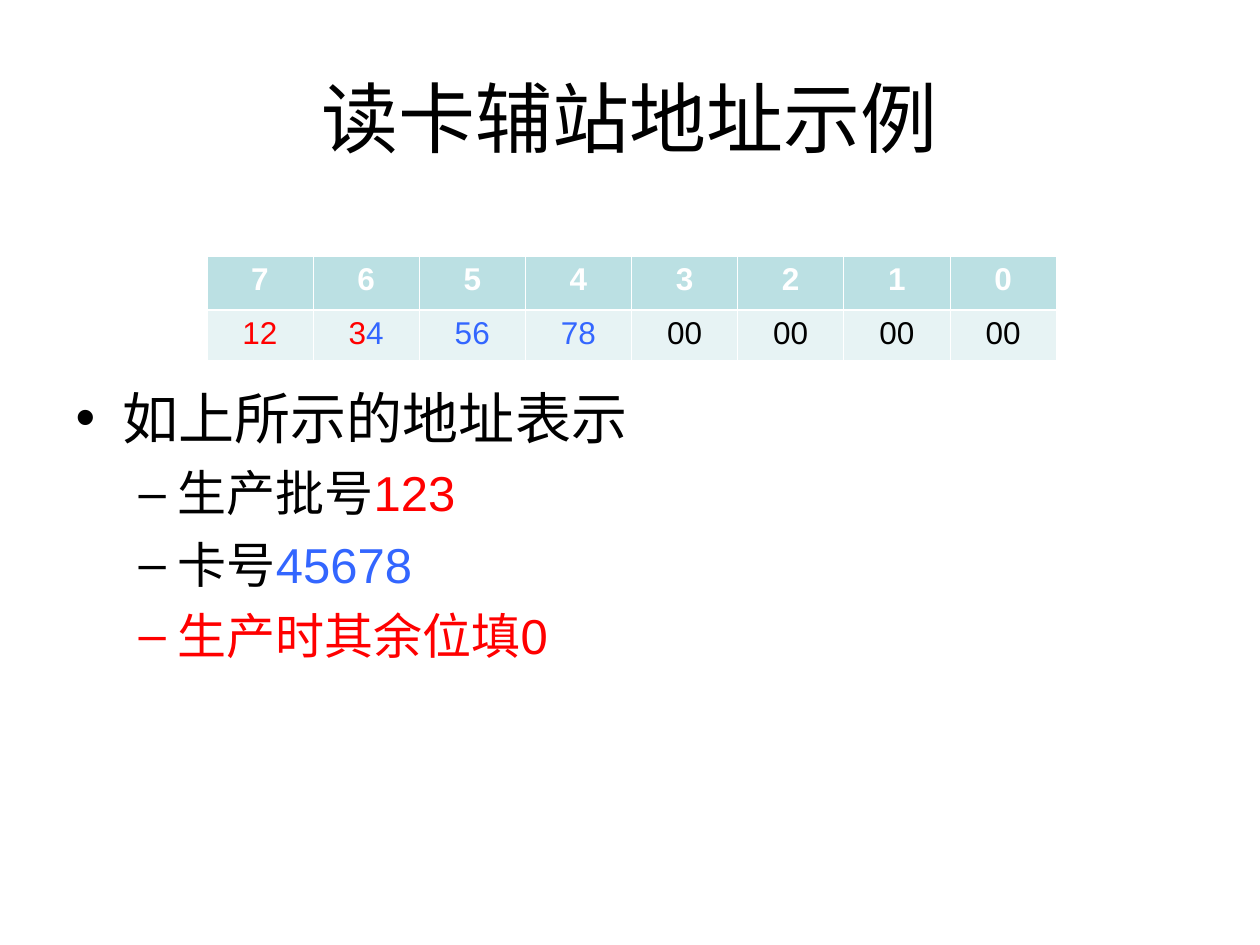
"""Build a slide showing an example address of a card-reading substation."""
from lxml import etree
from pptx import Presentation
from pptx.dml.color import RGBColor
from pptx.enum.text import MSO_ANCHOR, MSO_AUTO_SIZE, PP_ALIGN
from pptx.oxml.ns import qn
from pptx.util import Cm, Pt

CENTER = PP_ALIGN.CENTER
MIDDLE, TOP = MSO_ANCHOR.MIDDLE, MSO_ANCHOR.TOP
NO_AUTOFIT = MSO_AUTO_SIZE.NONE
BLACK, WHITE, RED, BLUE = "000000", "FFFFFF", "FF0000", "3366FF"
HEADER_FILL, VALUE_FILL = "BBE0E3", "E7F3F4"


def color(hex_string):
    return RGBColor.from_string(hex_string)


def add_runs(paragraph, runs, size, bold=False):
    for text, run_color in runs:
        run = paragraph.add_run()
        run.text = text
        run.font.name = "Arial"
        run.font.size = Pt(size)
        run.font.bold = bold
        run.font.color.rgb = color(run_color)


presentation = Presentation()
presentation.slide_width = Cm(25.4)
presentation.slide_height = Cm(19.05)
slide = presentation.slides.add_slide(presentation.slide_layouts[1])

title = slide.shapes.title
title.left, title.top, title.width, title.height = Cm(1.27), Cm(0.76), Cm(22.86), Cm(3.18)
title.text_frame.auto_size = NO_AUTOFIT
title.text_frame.vertical_anchor = MIDDLE
title_paragraph = title.text_frame.paragraphs[0]
title_paragraph.alignment = CENTER
add_runs(title_paragraph, [("读卡辅站地址示例", BLACK)], 44)

body = slide.placeholders[1]
body.left, body.top, body.width, body.height = Cm(1.27), Cm(4.45), Cm(22.86), Cm(12.57)
body_frame = body.text_frame
body_frame.auto_size = NO_AUTOFIT
body_frame.vertical_anchor = TOP
body_frame.margin_top = Cm(3.28)
bullets = [
    (0, 32, 0, [("如上所示的地址表示", BLACK)]),
    (1, 28, 7, [("生产批号", BLACK), ("123", RED)]),
    (1, 28, 7, [("卡号", BLACK), ("45678", BLUE)]),
    (1, 28, 7, [("生产时其余位填0", RED)]),
]
for index, (level, size, space_before, runs) in enumerate(bullets):
    paragraph = body_frame.add_paragraph() if index else body_frame.paragraphs[0]
    paragraph.level = level
    paragraph.space_before = Pt(space_before)
    add_runs(paragraph, runs, size)

header_cells = [[(str(7 - column), WHITE)] for column in range(8)]
value_cells = [
    [("12", RED)],
    [("3", RED), ("4", BLUE)],
    [("56", BLUE)],
    [("78", BLUE)],
] + [[("00", BLACK)]] * 4
address_rows = [
    (1.09, HEADER_FILL, True, header_cells, {"lnL": 0.45, "lnR": 0.45, "lnT": 0.45, "lnB": 1.47}),
    (1.02, VALUE_FILL, False, value_cells, {"lnL": 0.45, "lnR": 0.45, "lnT": 1.47, "lnB": 0.45}),
]
table = slide.shapes.add_table(2, 8, Cm(4.17), Cm(5.16), Cm(17.12), Cm(2.11)).table
for column in table.columns:
    column.width = Cm(2.14)
for row_index, (height, fill, bold, cells, borders) in enumerate(address_rows):
    table.rows[row_index].height = Cm(height)
    for column_index, runs in enumerate(cells):
        cell = table.cell(row_index, column_index)
        paragraph = cell.text_frame.paragraphs[0]
        paragraph.alignment = CENTER
        add_runs(paragraph, runs, 18, bold)
        cell_properties = cell._tc.get_or_add_tcPr()
        for side, width in borders.items():
            line = etree.SubElement(cell_properties, qn(f"a:{side}"), w=str(Pt(width)))
            line_fill = etree.SubElement(line, qn("a:solidFill"))
            etree.SubElement(line_fill, qn("a:srgbClr"), val=WHITE)
        cell.fill.solid()
        cell.fill.fore_color.rgb = color(fill)

presentation.save("out.pptx")
